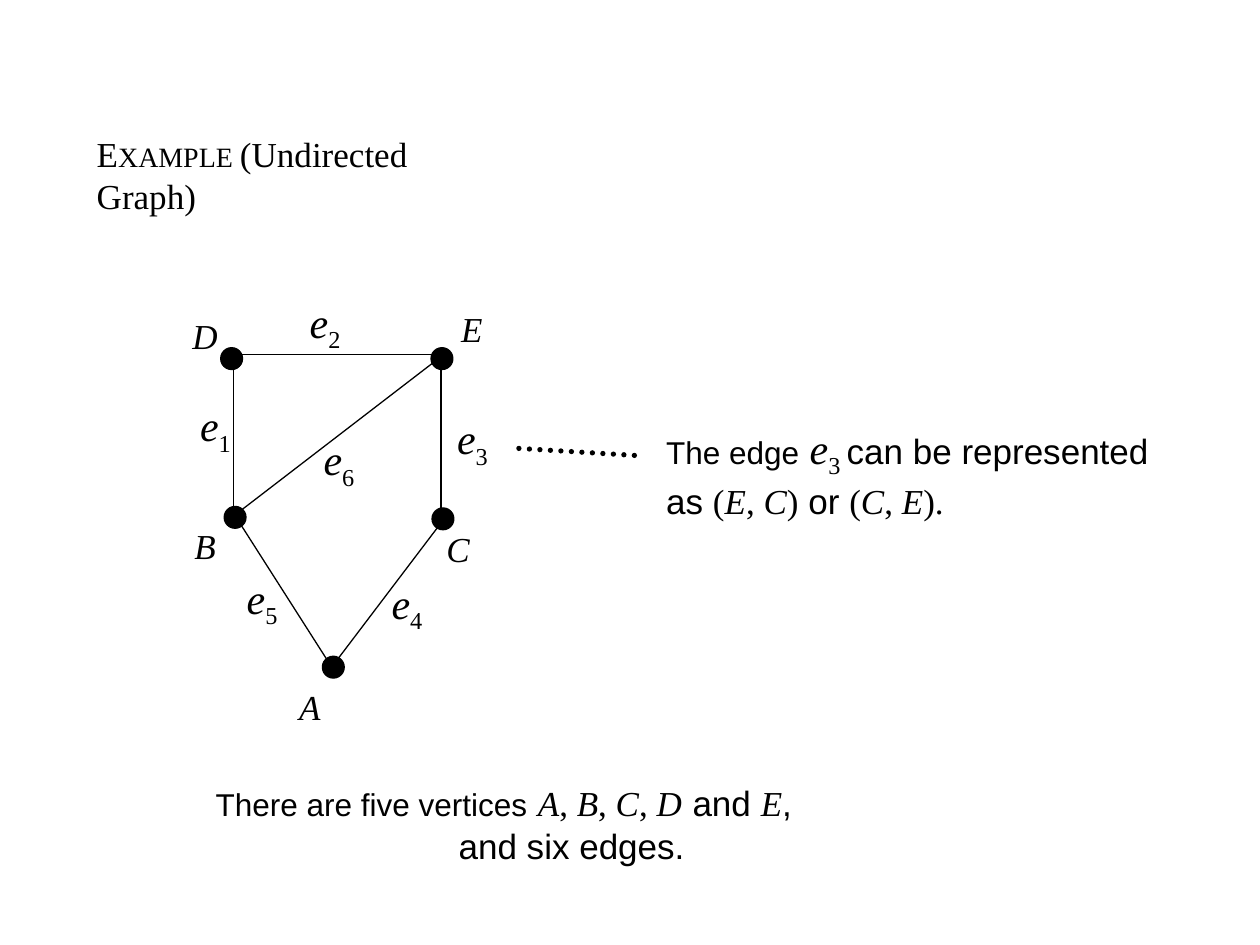
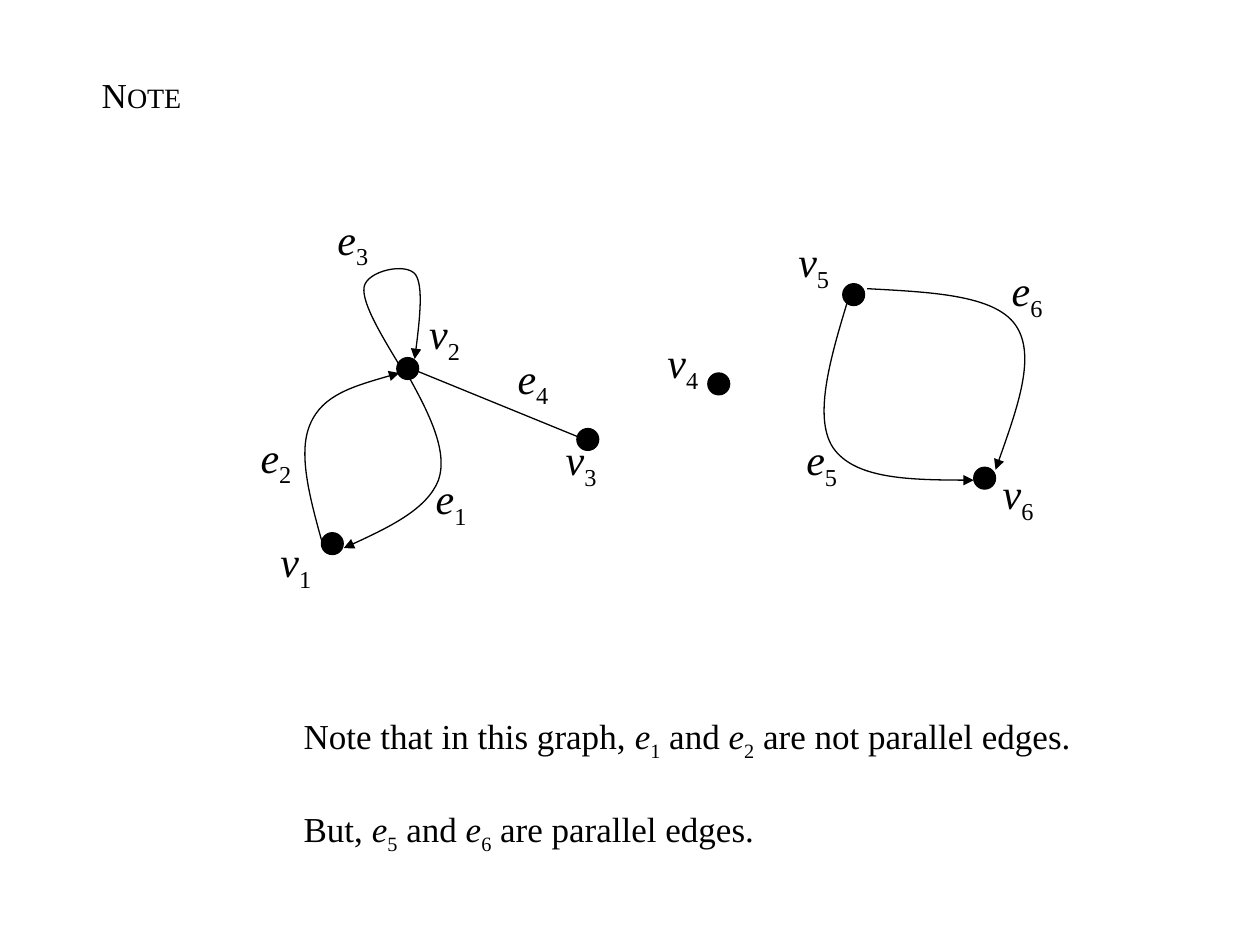
import pptx
import pptx.util
import pptx.dml.color
import pptx.enum.dml
import pptx.enum.shapes
import pptx.enum.text
import pptx.oxml
from pptx.oxml.ns import qn

Cm, Pt = pptx.util.Cm, pptx.util.Pt
ANCHOR = pptx.enum.text.MSO_ANCHOR
ALIGN = pptx.enum.text.PP_ALIGN

COLOURS = {"ink": "000000", "page": "FFFFFF"}
SERIF, SANS = "Times New Roman", "Arial"
STYLES = {
    "cap": (SERIF, 20, False, 0),
    "small cap": (SERIF, 16, False, 0),
    "math": (SERIF, 20, True, 0),
    "math sub": (SERIF, 20, False, -25000),
    "edge": (SERIF, 24, True, 0),
    "edge sub": (SERIF, 24, False, -25000),
    "gap": (SERIF, 24, False, 0),
    "lead": (SANS, 18, False, 0),
    "plain": (SANS, 20, False, 0),
}
VERTEX_SIZE = 0.44
LETTER_SIZE = (0.95, 1.09)
INDEXED_SIZE = (1.17, 1.27)

UNDIRECTED = {
    "title": [("E", "cap"), ("XAMPLE ", "small cap"), ("(Undirected Graph)", "cap")],
    "title box": (1.7, 2.54, 8.6, 1.09),
    "vertices": [(6.5, 13.23), (4.45, 7.01), (4.52, 10.21), (8.71, 10.24), (8.69, 7.01)],
    "edges": [
        ((4.78, 10.46), (6.65, 13.39)),
        ((6.73, 13.39), (8.99, 10.41)),
        ((4.7, 7.19), (4.7, 10.46)),
        ((8.89, 7.14), (8.89, 10.46)),
        ((4.7, 10.41), (8.89, 7.19)),
        ((4.65, 7.14), (8.84, 7.14)),
    ],
    "curves": [],
    "labels": {
        "A": (5.77, 13.69), "B": (3.66, 10.46), "C": (8.76, 10.52),
        "D": (3.66, 6.22), "E": (9.04, 6.07),
        "e1": (3.76, 8.0), "e2": (5.97, 5.92), "e3": (8.94, 8.26),
        "e4": (7.62, 11.58), "e5": (4.7, 11.48), "e6": (6.25, 8.69),
    },
    "body": [
        [("There are five vertices", "lead"), (" ", "gap"), ("A", "math"), (", ", "cap"),
         ("B", "math"), (", ", "cap"), ("C", "math"), (", ", "cap"), ("D", "math"),
         (" ", "gap"), ("and ", "plain"), ("E", "math"), (", ", "plain")],
        [("and six edges.", "plain")],
    ],
    "body box": (3.84, 15.49, 12.83, 2.11),
    "body layout": {"align": ALIGN.CENTER, "anchor": ANCHOR.MIDDLE, "later_indent": 2.54},
}
EDGE_NOTE = [
    [("The edge", "lead"), (" e", "edge"), ("3 ", "edge sub"), ("can be represented", "plain")],
    [("as ", "plain"), ("(", "cap"), ("E", "math"), (", ", "cap"), ("C", "math"), (")", "cap"),
     (" or ", "plain"), ("(", "cap"), ("C", "math"), (", ", "cap"), ("E", "math"), (").", "cap")],
]
EDGE_NOTE_BOX = (13.18, 8.46, 10.46, 2.11)
EDGE_NOTE_LEADER = ((10.46, 9.04), (12.95, 9.19))

PARALLEL = {
    "title": [("N", "cap"), ("OTE", "small cap")],
    "title box": (1.8, 1.35, 2.3, 1.09),
    "vertices": [(14.27, 7.52), (8.0, 7.21), (6.48, 10.74),
                 (16.99, 5.72), (11.63, 8.64), (19.63, 9.42)],
    "edges": [((8.26, 7.42), (11.86, 8.89))],
    "curves": [
        [(8.2, 7.52), (8.64, 8.31), (9.04, 9.09), (8.84, 9.68),
         (8.61, 10.26), (7.77, 10.67), (6.93, 11.05)],
        [(6.55, 11.13), (6.27, 10.13), (5.99, 9.17), (6.25, 8.56),
         (6.5, 7.95), (7.26, 7.75), (8.05, 7.52)],
        [(8.13, 7.49), (7.72, 6.81), (7.29, 6.12), (7.34, 5.79), (7.39, 5.46),
         (8.2, 5.28), (8.38, 5.54), (8.53, 5.77), (8.46, 6.5), (8.36, 7.24)],
        [(17.15, 5.87), (16.76, 7.14), (16.38, 8.38), (16.79, 9.02),
         (17.22, 9.65), (18.42, 9.68), (19.63, 9.68)],
        [(17.48, 5.82), (18.75, 5.89), (20.04, 5.94), (20.47, 6.55),
         (20.9, 7.16), (20.47, 8.33), (20.07, 9.47)],
    ],
    "labels": {
        "e1": (8.51, 9.47), "e2": (4.98, 8.64), "e3": (6.53, 4.24),
        "e4": (10.16, 7.04), "e5": (15.98, 8.69), "e6": (20.12, 5.28),
        "v1": (5.38, 10.74), "v2": (8.38, 6.15), "v3": (11.13, 8.69),
        "v4": (13.18, 6.73), "v5": (15.82, 4.7), "v6": (19.94, 9.37),
    },
    "body": [
        [("Note that in this graph, ", "cap"), ("e", "math"), ("1", "math sub"),
         (" and ", "cap"), ("e", "math"), ("2", "math sub"),
         (" are not parallel edges.", "cap")],
        [("But, ", "cap"), ("e", "math"), ("5", "math sub"), (" and ", "cap"),
         ("e", "math"), ("6", "math sub"), (" are parallel edges.", "cap")],
    ],
    "body box": (5.87, 14.27, 15.98, 3.63),
    "body layout": {"anchor": ANCHOR.TOP, "gap": 26},
}


def rgb(name):
    return pptx.dml.color.RGBColor.from_string(COLOURS[name])


def ink_line(line, width=0.75):
    line.color.rgb = rgb("ink")
    line.width = Pt(width)


def write(shape, lines, align=ALIGN.LEFT, anchor=ANCHOR.MIDDLE, wrap=True, gap=0, later_indent=0):
    frame = shape.text_frame
    frame.auto_size = pptx.enum.text.MSO_AUTO_SIZE.NONE
    frame.word_wrap = wrap
    frame.vertical_anchor = anchor
    frame.margin_left = frame.margin_right = Cm(0.25)
    frame.margin_top = frame.margin_bottom = Cm(0.13)
    for number, runs in enumerate(lines):
        paragraph = frame.add_paragraph() if number else frame.paragraphs[0]
        properties = paragraph._p.get_or_add_pPr()
        properties.set("marL", str(Cm(later_indent) if number else 0))
        properties.set("indent", "0")
        pptx.oxml.xmlchemy.OxmlElement
        properties.append(pptx.oxml.parse_xml(
            '<a:buNone xmlns:a="http://schemas.openxmlformats.org/drawingml/2006/main"/>'))
        paragraph.alignment = align
        paragraph.space_before = Pt(gap if number else 0)
        for text, style in runs:
            font_name, size, italic, baseline = STYLES[style]
            run = paragraph.add_run()
            run.text = text
            run.font.name = font_name
            run.font.size = Pt(size)
            run.font.italic = italic
            run.font.bold = False
            run.font.color.rgb = rgb("ink")
            if baseline:
                run._r.get_or_add_rPr().set("baseline", str(baseline))


def fill_placeholder(holder, box, lines, **layout):
    holder.left, holder.top, holder.width, holder.height = map(Cm, box)
    write(holder, lines, **layout)


def add_text(slide, box, lines, **layout):
    write(slide.shapes.add_textbox(*map(Cm, box)), lines, **layout)


def add_label(slide, name, corner):
    if len(name) == 1:
        size, runs = LETTER_SIZE, [(name, "math")]
    else:
        size, runs = INDEXED_SIZE, [(name[0], "edge"), (name[1:], "edge sub")]
    add_text(slide, corner + size, [runs], align=ALIGN.CENTER, wrap=False)


def add_vertex(slide, corner):
    vertex = slide.shapes.add_shape(pptx.enum.shapes.MSO_SHAPE.OVAL,
                                    *map(Cm, corner + (VERTEX_SIZE, VERTEX_SIZE)))
    vertex.shadow.inherit = False
    vertex.fill.solid()
    vertex.fill.fore_color.rgb = rgb("ink")
    ink_line(vertex.line)


def add_edge(slide, start, end, width=0.75):
    edge = slide.shapes.add_connector(pptx.enum.shapes.MSO_CONNECTOR.STRAIGHT,
                                      *map(Cm, start + end))
    ink_line(edge.line, width)
    properties = edge._element.spPr
    properties.append(properties.makeelement(qn("a:effectLst"), {}))
    return edge


def add_curve(slide, points):
    start, *rest = [tuple(map(Cm, point)) for point in points]
    builder = slide.shapes.build_freeform(*start)
    builder.add_line_segments(rest, close=False)
    curve = builder.convert_to_shape()
    curve.shadow.inherit = False
    curve.fill.background()
    ink_line(curve.line)
    segments = list(curve._element.iter(qn("a:lnTo")))
    for first in range(0, len(segments), 3):
        bezier = segments[first].makeelement(qn("a:cubicBezTo"), {})
        segments[first].addprevious(bezier)
        for segment in segments[first:first + 3]:
            bezier.append(segment[0])
            segment.getparent().remove(segment)
    outline = curve.line._get_or_add_ln()
    outline.append(outline.makeelement(qn("a:tailEnd"), {"type": "triangle"}))


def add_graph_slide(deck, content):
    slide = deck.slides.add_slide(deck.slide_layouts[1])
    title, body = slide.placeholders
    fill_placeholder(title, content["title box"], [content["title"]], anchor=ANCHOR.TOP)
    fill_placeholder(body, content["body box"], content["body"], **content["body layout"])
    for corner in content["vertices"]:
        add_vertex(slide, corner)
    for start, end in content["edges"]:
        add_edge(slide, start, end)
    for points in content["curves"]:
        add_curve(slide, points)
    for name, corner in content["labels"].items():
        add_label(slide, name, corner)
    return slide


def main():
    deck = pptx.Presentation()
    deck.slide_width, deck.slide_height = Cm(25.4), Cm(19.05)
    background = deck.slide_master.background.fill
    background.solid()
    background.fore_color.rgb = rgb("page")

    undirected = add_graph_slide(deck, UNDIRECTED)
    add_text(undirected, EDGE_NOTE_BOX, EDGE_NOTE)
    leader = add_edge(undirected, *EDGE_NOTE_LEADER, width=3)
    leader.line.dash_style = pptx.enum.dml.MSO_LINE.ROUND_DOT
    leader.line._get_or_add_ln().set("cap", "rnd")

    add_graph_slide(deck, PARALLEL)
    deck.save("out.pptx")


if __name__ == "__main__":
    main()
